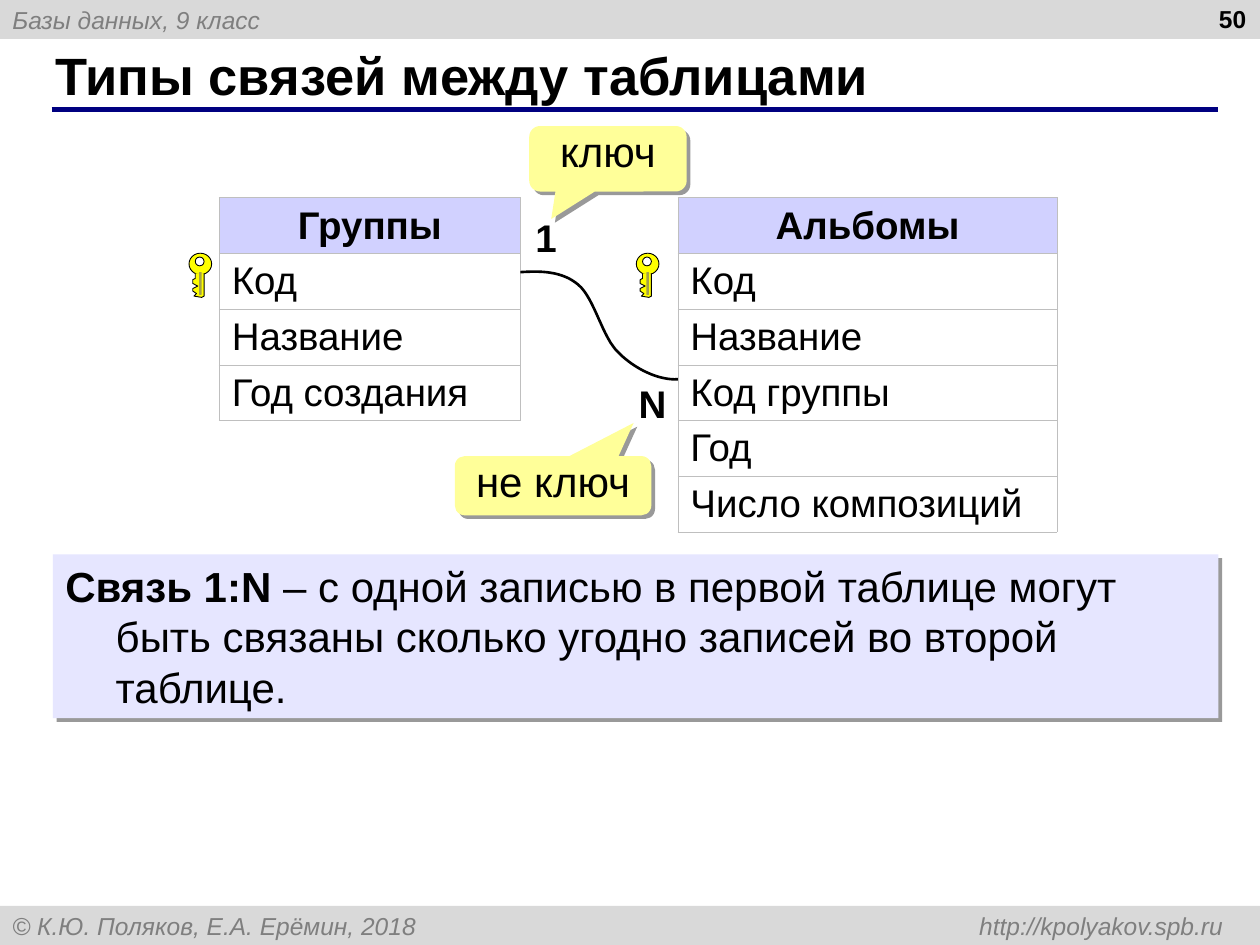
from dataclasses import dataclass

from lxml.etree import SubElement
from pptx import Presentation
from pptx.dml.color import RGBColor
from pptx.enum.shapes import MSO_CONNECTOR, MSO_SHAPE as Preset
from pptx.enum.text import MSO_ANCHOR as Anchor, MSO_AUTO_SIZE as AutoSize, PP_ALIGN as Align
from pptx.oxml.ns import qn
from pptx.util import Inches, Pt

FONT = "Arial"
BLACK, GRAY, BAND = "000000", "7F7F7F", "D9D9D9"
YELLOW, NAVY, BORDER = "FFFF00", "000080", "BFBFBF"
ROW_HEIGHT = 0.41
Point = tuple[float, float]


@dataclass
class Run:
    text: str
    size: float
    bold: bool = False
    italic: bool = False
    color: str = BLACK


@dataclass
class Entity:
    left: float
    width: float
    title: str
    fields: list[str]


@dataclass
class Callout:
    box: tuple[float, float, float, float]
    tail: Point
    text: str


ENTITIES = [
    Entity(1.74, 2.39, "Группы", ["Код", "Название", "Год создания"]),
    Entity(5.38, 3.01, "Альбомы", ["Код", "Название", "Код группы", "Год", "Число композиций"]),
]
CALLOUTS = [
    Callout((4.2, 1, 1.25, 0.52), (-0.36, 0.92), "ключ"),
    Callout((3.61, 3.62, 1.56, 0.47), (0.41, -1.06), "не ключ"),
]
KEY_LEFTS = [1.5, 5.05]
KEY_BIT = [
    (0.12, 0.16), (0.12, 0.34), (0.1, 0.35), (0.04, 0.34), (0.06, 0.32), (0.03, 0.3),
    (0.03, 0.28), (0.07, 0.26), (0.03, 0.24), (0.03, 0.21), (0.05, 0.2), (0.05, 0.16),
]
RELATION_CURVES = [
    [(5.38, 3.01), (5.23, 3.02), (5.04, 2.93), (4.91, 2.8)],
    [(4.91, 2.8), (4.78, 2.68), (4.72, 2.37), (4.59, 2.26)],
    [(4.59, 2.26), (4.46, 2.15), (4.29, 2.15), (4.13, 2.16)],
]


def rgb(color: str) -> RGBColor:
    return RGBColor.from_string(color)


def write(frame, runs: list[Run], align=Align.LEFT, anchor=Anchor.TOP, wrap: bool = True):
    frame.word_wrap = wrap
    frame.auto_size = AutoSize.NONE
    frame.vertical_anchor = anchor
    return write_paragraph(frame, runs, align)


def write_paragraph(frame, runs: list[Run], align):
    paragraph = frame.paragraphs[0]
    paragraph.alignment = align
    for item in runs:
        run = paragraph.add_run()
        run.text = item.text
        font = run.font
        font.name, font.size = FONT, Pt(item.size)
        font.bold, font.italic = item.bold, item.italic
        font.color.rgb = rgb(item.color)
    return paragraph


def style(shape, fill: str | None = None, line: str | None = None, width: float = 0.5) -> None:
    shape.shadow.inherit = False
    if fill:
        shape.fill.solid()
        shape.fill.fore_color.rgb = rgb(fill)
    else:
        shape.fill.background()
    if line:
        shape.line.color.rgb = rgb(line)
        shape.line.width = Pt(width)
    else:
        shape.line.fill.background()


def add_preset(shapes, preset, box, fill: str, line: str | None = None):
    shape = shapes.add_shape(preset, *map(Inches, box))
    style(shape, fill, line)
    return shape


def add_shadow(shape) -> None:
    effects = shape._element.spPr.find(qn("a:effectLst"))
    shadow = SubElement(effects, qn("a:outerShdw"), dist="38100", dir="2700000",
                        algn="tl", rotWithShape="0")
    color = SubElement(shadow, qn("a:srgbClr"), val=BLACK)
    SubElement(color, qn("a:alpha"), val="40000")


def add_label(shapes, box, run: Run, align=Align.LEFT, wrap: bool = True) -> None:
    label = shapes.add_textbox(*map(Inches, box))
    write(label.text_frame, [run], align, wrap=wrap)


def add_band(shapes, top: float, text: str):
    band = add_preset(shapes, Preset.RECTANGLE, (0, top, 10, 0.31), BAND)
    return write(band.text_frame, [Run(text, 14, italic=True, color=GRAY)], anchor=Anchor.MIDDLE)


def add_outline(shapes, points: list[Point], closed: bool):
    start, *rest = [(Inches(x), Inches(y)) for x, y in points]
    builder = shapes.build_freeform(*start)
    builder.add_line_segments(rest, close=closed)
    return builder.convert_to_shape()


def bezier(controls: list[Point], steps: int = 16) -> list[Point]:
    curve = []
    for step in range(steps + 1):
        t = step / steps
        weights = ((1 - t) ** 3, 3 * t * (1 - t) ** 2, 3 * t * t * (1 - t), t ** 3)
        curve.append(tuple(sum(w * c[axis] for w, c in zip(weights, controls)) for axis in (0, 1)))
    return curve


def add_key(shapes, left: float, top: float = 2.01) -> None:
    key = shapes.add_group_shape().shapes
    add_preset(key, Preset.OVAL, (left, top, 0.18, 0.17), YELLOW, BLACK)
    add_preset(key, Preset.OVAL, (left + 0.05, top + 0.03, 0.07, 0.07), "FFFFFF", BLACK)
    bit = add_outline(key, [(left + x, top + y) for x, y in KEY_BIT], closed=False)
    style(bit, YELLOW, BLACK)
    add_preset(key, Preset.ROUNDED_RECTANGLE, (left + 0.08, top + 0.15, 0.02, 0.18), "A5A149")


def add_entity(shapes, entity: Entity) -> None:
    names = [entity.title, *entity.fields]
    frame = shapes.add_table(len(names), 1, Inches(entity.left), Inches(1.57),
                             Inches(entity.width), Inches(ROW_HEIGHT * len(names)))
    for index, name in enumerate(names):
        heading = index == 0
        cell = frame.table.cell(index, 0)
        cell.margin_left = cell.margin_right = Inches(0.1)
        cell.margin_top = cell.margin_bottom = Inches(0.05)
        properties = cell._tc.get_or_add_tcPr()
        for side in ("lnL", "lnR", "lnT", "lnB"):
            border = SubElement(properties, qn(f"a:{side}"), w=str(Pt(0.45)))
            SubElement(SubElement(border, qn("a:solidFill")), qn("a:srgbClr"), val=BORDER)
        cell.fill.solid()
        cell.fill.fore_color.rgb = rgb("D1D1FF" if heading else "FFFFFF")
        write_paragraph(cell.text_frame, [Run(name, 22, bold=heading)],
                        Align.CENTER if heading else Align.LEFT)


def add_callout(shapes, callout: Callout) -> None:
    bubble = add_preset(shapes, Preset.ROUNDED_RECTANGULAR_CALLOUT, callout.box, "FFFF99")
    bubble.adjustments[0], bubble.adjustments[1] = callout.tail
    add_shadow(bubble)
    write(bubble.text_frame, [Run(callout.text, 24)], Align.CENTER).line_spacing = 0.8


def add_definition(shapes) -> None:
    panel = add_preset(shapes, Preset.RECTANGLE, (0.42, 4.4, 9.25, 1.3), "E6E6FF")
    add_shadow(panel)
    paragraph = write(panel.text_frame, [
        Run("Связь 1:N ", 24, bold=True),
        Run("– с одной записью в первой таблице могут быть связаны "
            "сколько угодно записей во второй таблице.", 24),
    ])
    indent = paragraph._p.get_or_add_pPr()
    indent.set("marL", str(Inches(0.4)))
    indent.set("indent", str(-Inches(0.4)))


def main() -> None:
    deck = Presentation()
    deck.slide_width, deck.slide_height = Inches(10), Inches(7.5)
    slide = deck.slides.add_slide(deck.slide_layouts[5])
    shapes = slide.shapes

    add_band(shapes, 0, "Базы данных, 9 класс")
    footer = add_band(shapes, 7.19, "© К.Ю. Поляков, Е.А. Ерёмин, 2018\thttp://kpolyakov.spb.ru")
    tabs = SubElement(footer._p.get_or_add_pPr(), qn("a:tabLst"))
    SubElement(tabs, qn("a:tab"), pos=str(Inches(9.61)), algn="r")

    underline = shapes.add_connector(MSO_CONNECTOR.STRAIGHT, *map(Inches, (0.41, 0.87, 9.67, 0.87)))
    underline.line.color.rgb = rgb(NAVY)
    underline.line.width = Pt(3)
    SubElement(underline._element.spPr, qn("a:effectLst"))

    title = shapes.title
    title.left, title.top, title.width, title.height = map(Inches, (0.34, 0.33, 9.16, 0.52))
    write(title.text_frame, [Run("Типы связей между таблицами", 30, bold=True)], anchor=Anchor.MIDDLE)
    add_label(shapes, (7.66, -0.02, 2.33, 0.52), Run("50", 14, bold=True), Align.RIGHT)

    for entity in ENTITIES:
        add_entity(shapes, entity)
    for left in KEY_LEFTS:
        add_key(shapes, left)
    route = [point for controls in RELATION_CURVES for point in bezier(controls)]
    style(add_outline(shapes, route, closed=False), line=BLACK, width=1.5)
    add_label(shapes, (4.15, 1.65, 0.37, 0.47), Run("1", 22, bold=True), wrap=False)
    add_label(shapes, (4.97, 2.97, 0.42, 0.47), Run("N", 22, bold=True), wrap=False)
    add_definition(shapes)
    for callout in CALLOUTS:
        add_callout(shapes, callout)
    deck.save("out.pptx")


if __name__ == "__main__":
    main()
